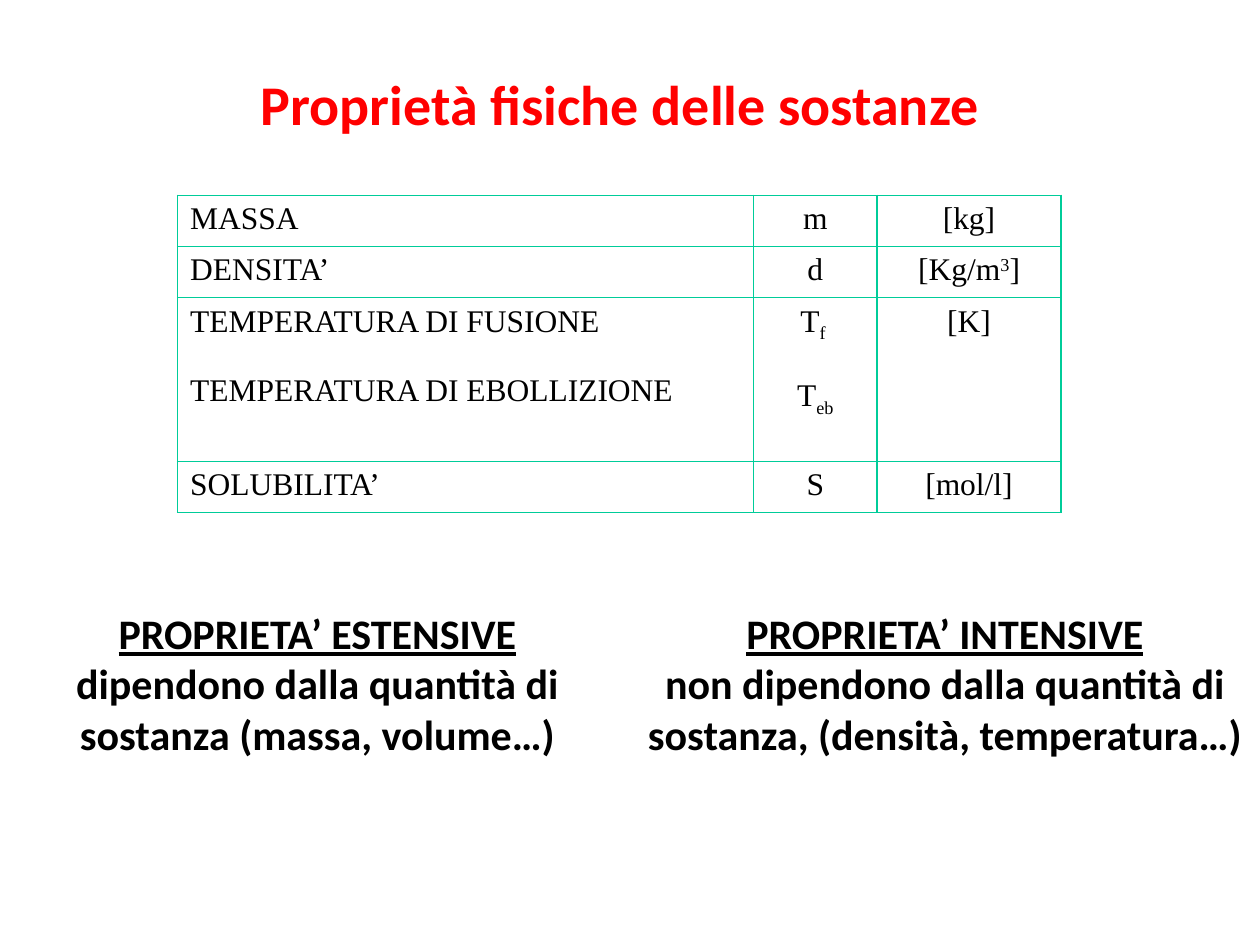
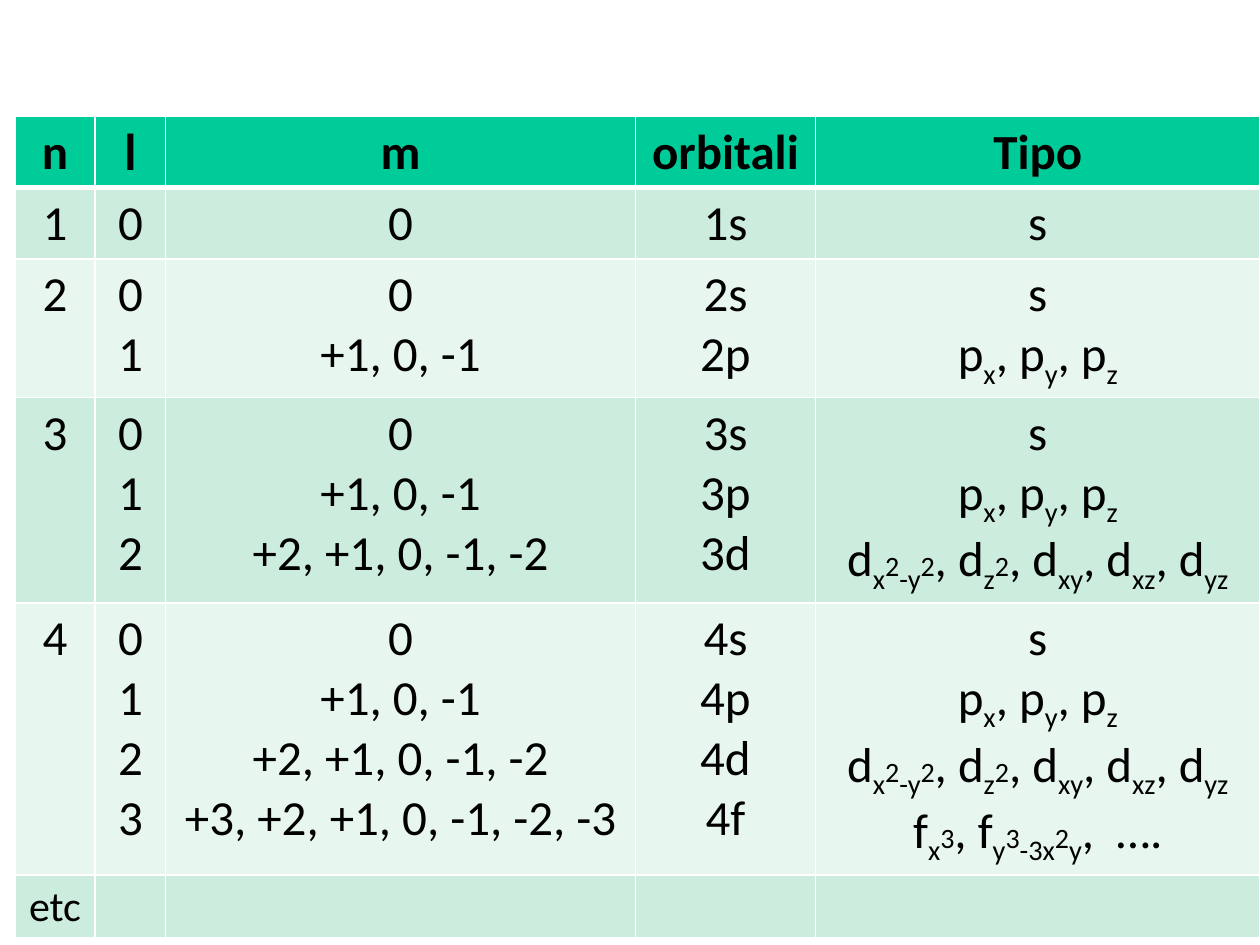
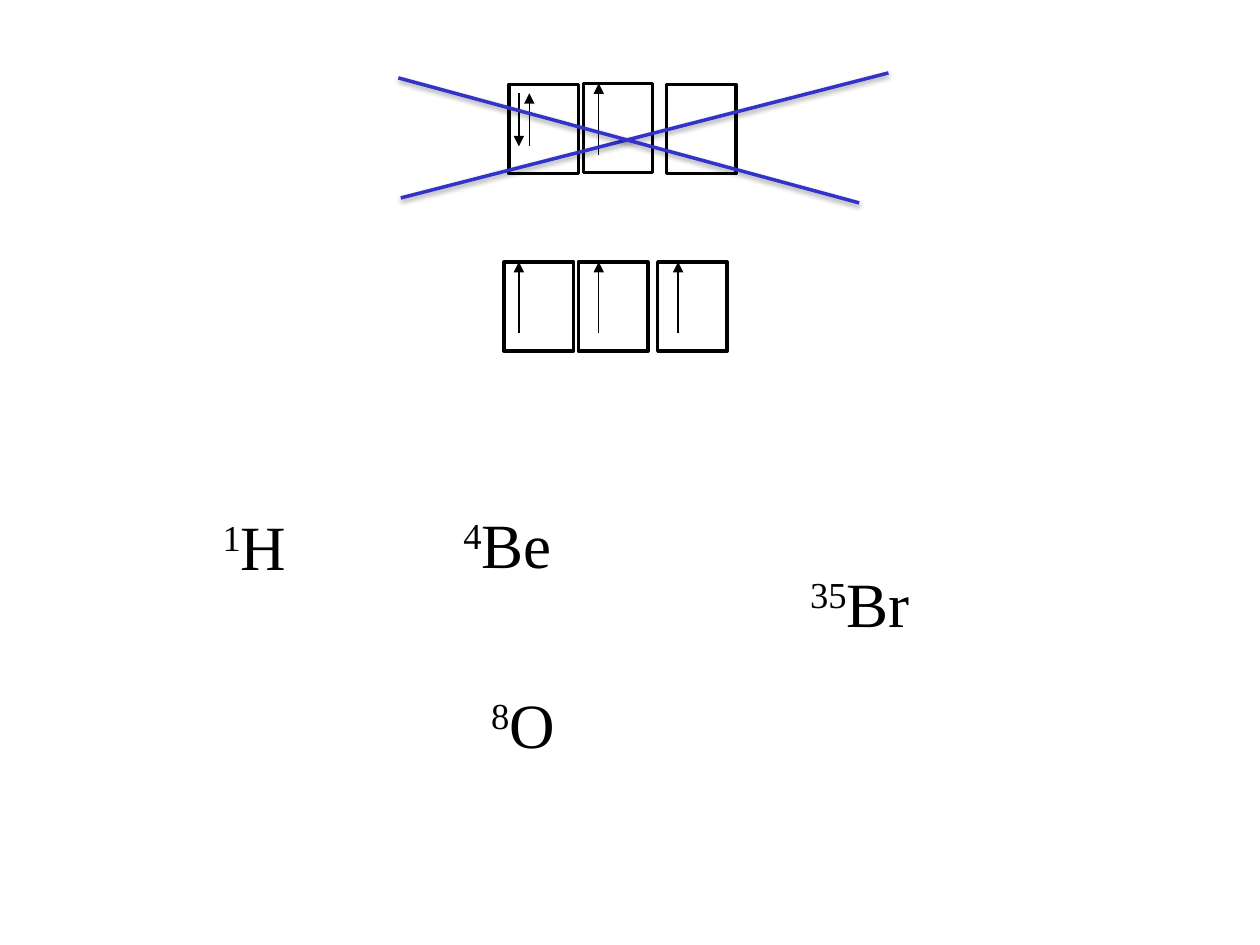
from dataclasses import dataclass

from lxml import etree
from pptx import Presentation
from pptx.dml.color import RGBColor
from pptx.enum.shapes import MSO_CONNECTOR as Connector, MSO_SHAPE as Shape
from pptx.enum.text import MSO_AUTO_SIZE as AutoSize, PP_ALIGN as Align
from pptx.oxml.ns import qn
from pptx.util import Cm, Pt


@dataclass(frozen=True)
class Theme:
    sans: str = "Calibri"
    serif: str = "Times New Roman"
    accent_font: str = "Lato"
    red: str = "FF0000"
    black: str = "000000"
    white: str = "FFFFFF"
    green: str = "00CC99"
    mint: str = "CCECDE"
    pale: str = "E7F6EF"
    blue: str = "3333CC"
    title: int = 32
    symbol: int = 36
    grid: int = 28
    body: int = 24
    cell: int = 18
    small: int = 16


THEME = Theme()
MARKS = {
    "~": {"baseline": -25000},
    "^": {"baseline": 30000},
    "*": {"size": THEME.small},
    "#": {"size": THEME.body},
    "@": {"font": THEME.accent_font},
    "_": {"underline": True},
}


def split_marks(text):
    mark, chunk = "", ""
    for char in text:
        if char in MARKS:
            if chunk:
                yield chunk, MARKS.get(mark, {})
            mark, chunk = "" if char == mark else char, ""
        else:
            chunk += char
    if chunk:
        yield chunk, MARKS.get(mark, {})


class Deck:
    """Draws styled elements on the current slide."""

    def __init__(self, theme):
        self.theme = theme
        self.deck = Presentation()
        self.deck.slide_width, self.deck.slide_height = Cm(25.4), Cm(19.05)
        self.page = None

    def new_page(self):
        self.page = self.deck.slides.add_slide(self.deck.slide_layouts[6])

    def add_spans(self, frame, text, size, font, color=None, bold=False, align=Align.LEFT, gap=0):
        for index, line in enumerate(text.split("\n")):
            para = frame.add_paragraph() if index else frame.paragraphs[0]
            para.alignment = align
            if index and gap:
                para.space_before = Pt(gap)
            for chunk, look in split_marks(line):
                span = para.add_run()
                span.text = chunk
                span.font.size = Pt(look.get("size", size))
                span.font.name = look.get("font", font)
                span.font.bold = bold
                span.font.underline = look.get("underline")
                span.font.color.rgb = RGBColor.from_string(color or self.theme.black)
                if "baseline" in look:
                    span.font._element.set("baseline", str(look["baseline"]))

    def text(self, left, top, width, height, text, size, font, wrap=False, **style):
        box = self.page.shapes.add_textbox(Cm(left), Cm(top), Cm(width), Cm(height))
        box.text_frame.word_wrap = wrap
        box.text_frame.auto_size = AutoSize.SHAPE_TO_FIT_TEXT
        self.add_spans(box.text_frame, text, size, font, **style)

    def border(self, cell, color, top=1, bottom=1):
        properties = cell._tc.get_or_add_tcPr()
        for side, width in (("lnL", 1), ("lnR", 1), ("lnT", top), ("lnB", bottom)):
            line = etree.SubElement(properties, qn(f"a:{side}"), w=str(Pt(width)))
            fill = etree.SubElement(line, qn("a:solidFill"))
            etree.SubElement(fill, qn("a:srgbClr"), val=color)

    def table(self, left, top, widths, heights, rows, fills, line, size, font, aligns, header=False, gap=0):
        frame = self.page.shapes.add_table(
            len(rows), len(widths), Cm(left), Cm(top), Cm(sum(widths)), Cm(sum(heights)))
        table = frame.table
        table.first_row = table.horz_banding = False
        for column, width in zip(table.columns, widths):
            column.width = Cm(width)
        for index, (row, height, values, fill) in enumerate(zip(table.rows, heights, rows, fills)):
            row.height = Cm(height)
            for cell, value, align in zip(row.cells, values, aligns):
                self.border(cell, line, top=3 if header and index == 1 else 1,
                            bottom=3 if header and index == 0 else 1)
                cell.fill.solid()
                cell.fill.fore_color.rgb = RGBColor.from_string(fill)
                self.add_spans(cell.text_frame, value, size, font,
                               bold=header and index == 0, align=align, gap=gap)

    def orbital(self, left, top):
        box = self.page.shapes.add_shape(Shape.RECTANGLE, Cm(left), Cm(top), Cm(1.4), Cm(1.8))
        box.shadow.inherit = False
        box.fill.solid()
        box.fill.fore_color.rgb = RGBColor.from_string(self.theme.white)
        box.line.color.rgb = RGBColor.from_string(self.theme.black)
        box.line.width = Pt(2)

    def line(self, start, end, color, width):
        line = self.page.shapes.add_connector(Connector.STRAIGHT, *map(Cm, (*start, *end)))
        line.line.color.rgb = RGBColor.from_string(color)
        line.line.width = Pt(width)
        effects = etree.SubElement(line._element.spPr, qn("a:effectLst"))
        return line, effects

    def arrow(self, x, start, end):
        line, _ = self.line((x, start), (x, end), self.theme.black, 0.75)
        etree.SubElement(line.line._get_or_add_ln(), qn("a:tailEnd"), type="triangle")

    def strike(self, start, end):
        _, effects = self.line(start, end, self.theme.blue, 2)
        shadow = etree.SubElement(effects, qn("a:outerShdw"), blurRad=str(Pt(3.1)),
                                  dist=str(Pt(1.6)), dir="5400000", rotWithShape="0")
        tint = etree.SubElement(shadow, qn("a:srgbClr"), val=self.theme.black)
        etree.SubElement(tint, qn("a:alpha"), val="38000")


def properties_page(deck):
    theme = deck.theme
    deck.new_page()
    deck.text(4.93, 1.27, 15.14, 1.63, "Proprietà fisiche delle sostanze", theme.title, theme.sans,
              color=theme.red, bold=True, align=Align.CENTER)
    rows = [
        ("MASSA", "m", "[kg]"),
        ("DENSITA’", "d", "[Kg/m^3^]"),
        ("TEMPERATURA DI FUSIONE\nTEMPERATURA DI EBOLLIZIONE", "T~f ~\nT~eb~", "[K]"),
        ("SOLUBILITA’", "S", "[mol/l]"),
    ]
    deck.table(3.58, 3.94, (11.61, 2.49, 3.71), (1.03, 1.03, 3.3, 1.03), rows,
               [theme.white] * len(rows), theme.green, theme.cell, theme.serif,
               (Align.JUSTIFY, Align.CENTER, Align.CENTER), gap=20)
    notes = (
        (0.05, "_PROPRIETA’ ESTENSIVE_\ndipendono dalla quantità di sostanza (massa, volume…)"),
        (12.7, "_PROPRIETA’ INTENSIVE_\nnon dipendono dalla quantità di sostanza, (densità, temperatura…)"),
    )
    for left, note in notes:
        deck.text(left, 12.12, 12.7, 3.33, note, theme.body, theme.sans, wrap=True,
                  bold=True, align=Align.CENTER)


def quantum_numbers_page(deck):
    theme = deck.theme
    deck.new_page()
    kinds = ("s", "p~x~, p~y~, p~z~", "d~x~*2*~-y~*2*, d~z~*2*, d~xy~, d~xz~, d~yz~",
             "f~x~*3*, f~y~*3*~-3x~*2*~y~,  ….")
    magnetic = ("0", "+1, 0, -1", "+2, +1, 0, -1, -2", "+3, +2, +1, 0, -1, -2, -3")
    rows = [("n", "@l@", "m", "orbitali", "Tipo")]
    for n in range(1, 5):
        columns = (map(str, range(n)), magnetic[:n], [f"{n}{kind}" for kind in "spdf"[:n]], kinds[:n])
        rows.append((str(n), *("\n".join(column) for column in columns)))
    rows.append(("#etc#", "", "", "", ""))
    fills = [theme.green] + [theme.mint if n % 2 else theme.pale for n in range(1, len(rows))]
    deck.table(0.3, 2.34, (1.62, 1.42, 9.47, 3.63, 8.96), [1.22] * len(rows), rows, fills,
               theme.white, theme.grid, theme.sans, [Align.CENTER] * 5, header=True)


def orbital_filling_page(deck):
    theme = deck.theme
    deck.new_page()
    for left, top in ((10.26, 1.7), (11.76, 1.68), (13.44, 1.7),
                      (10.16, 5.28), (11.66, 5.28), (13.26, 5.28)):
        deck.orbital(left, top)
    for x, start, end in ((10.46, 1.88, 2.95), (10.67, 2.95, 1.88), (12.07, 3.12, 1.68)):
        deck.arrow(x, start, end)
    for x in (10.46, 12.07, 13.67):
        deck.arrow(x, 6.71, 5.28)
    deck.strike((8.08, 3.99), (17.91, 1.47))
    deck.strike((8.03, 1.57), (17.32, 4.09))
    for left, top, width, element in ((4.24, 10.11, 1.96, "^1^H"), (9.09, 10.06, 2.36, "^4^Be"),
                                      (9.65, 13.69, 1.96, "^8^O"), (16.08, 11.25, 2.64, "^35^Br")):
        deck.text(left, top, width, 1.78, element, theme.symbol, theme.serif)


def main():
    deck = Deck(THEME)
    properties_page(deck)
    quantum_numbers_page(deck)
    orbital_filling_page(deck)
    deck.deck.save("out.pptx")


if __name__ == "__main__":
    main()
